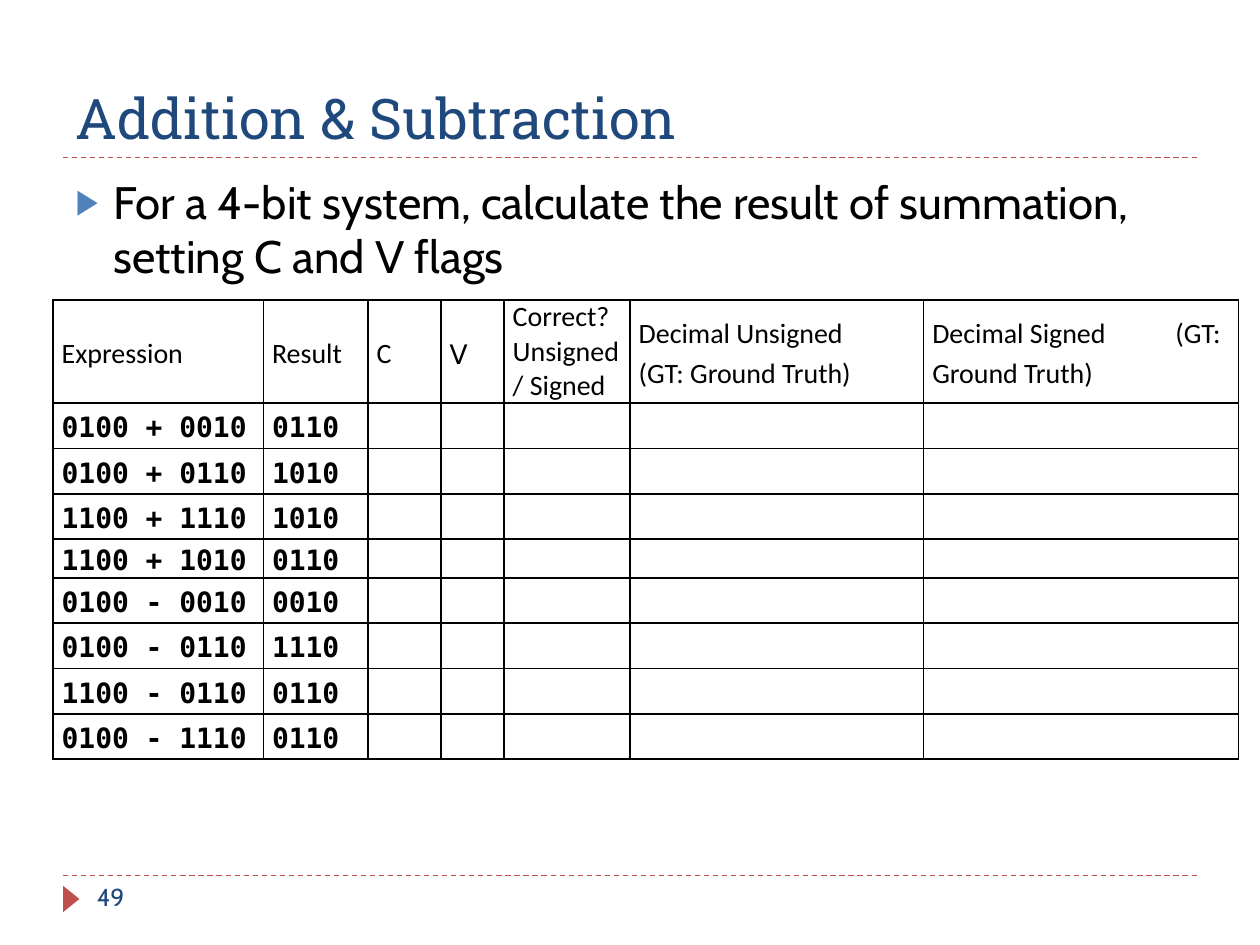
"""Build the slide on 4-bit addition and subtraction with carry and overflow flags."""
import pptx
import pptx.dml.color
import pptx.enum.dml
import pptx.enum.shapes
import pptx.enum.text
import pptx.oxml
import pptx.oxml.ns
import pptx.util
from lxml import etree
from pptx.util import Inches

COLORS = {"navy": "1F497D", "red": "C0504D", "blue": "4F81BD", "black": "000000", "white": "FFFFFF"}
COLUMN_WIDTHS = [1.67, 0.83, 0.58, 0.5, 1, 2.33, 2.5]
HEADER_HEIGHT, ROW_HEIGHT, SHORT_ROW_HEIGHT = 0.82, 0.36, 0.3
SHORT_EXPRESSION = "1100 + 1010"
HEADERS = [
    "Expression", "Result", "C", "V", "Correct? Unsigned/ Signed",
    "Decimal Unsigned\v(GT: Ground Truth)", "Decimal Signed\t(GT: Ground Truth)",
]
CALCULATIONS = [
    ("0100 + 0010", "0110"), ("0100 + 0110", "1010"), ("1100 + 1110", "1010"),
    (SHORT_EXPRESSION, "0110"), ("0100 - 0010", "0010"), ("0100 - 0110", "1110"),
    ("1100 - 0110", "0110"), ("0100 - 1110", "0110"),
]


def rgb(name):
    return pptx.dml.color.RGBColor.from_string(COLORS[name])


def append_xml(parent, tag, **attributes):
    return etree.SubElement(parent, pptx.oxml.ns.qn(tag), attributes)


class SlideBuilder:
    heading_font, body_font, table_font, code_font = "Roboto Slab", "Cabin", "Calibri", "DejaVu Sans Mono"
    table_size = 16

    def __init__(self, slide):
        self.slide = slide

    def place(self, shape, left, top, width, height):
        shape.left, shape.top = Inches(left), Inches(top)
        shape.width, shape.height = Inches(width), Inches(height)

    def add_text(self, paragraph, text, font, size, color="black", bold=False):
        for index, line in enumerate(text.split("\v")):
            if index:
                paragraph.add_line_break()
            run = paragraph.add_run()
            run.text = line
            run.font.name, run.font.size, run.font.bold = font, pptx.util.Pt(size), bold
            run.font.color.rgb = rgb(color)

    def title(self, text):
        shape = self.slide.shapes.title
        self.place(shape, 0.5, 0.17, 9, 1.08)
        shape.text_frame.vertical_anchor = pptx.enum.text.MSO_ANCHOR.BOTTOM
        paragraph = shape.text_frame.paragraphs[0]
        paragraph.alignment = pptx.enum.text.PP_ALIGN.LEFT
        self.add_text(paragraph, text, self.heading_font, 32, "navy")

    def body(self, text):
        shape = self.slide.placeholders[1]
        self.place(shape, 0.5, 1.33, 9, 5.4)
        paragraph = shape.text_frame.paragraphs[0]
        paragraph.space_before = pptx.util.Pt(0)
        properties = paragraph._p.get_or_add_pPr()
        properties.set("marL", str(Inches(0.3)))
        properties.set("indent", str(-Inches(0.3)))
        append_xml(append_xml(properties, "a:buClr"), "a:srgbClr", val=COLORS["blue"])
        append_xml(properties, "a:buSzPct", val="76000")
        append_xml(properties, "a:buChar", char="▶")
        self.add_text(paragraph, text, self.body_font, 26)

    def rule(self, top):
        connector = self.slide.shapes.add_connector(
            pptx.enum.shapes.MSO_CONNECTOR.STRAIGHT, Inches(0.5), Inches(top), Inches(9.5), Inches(top))
        connector.line.color.rgb = rgb("red")
        connector.line.width = pptx.util.Pt(0.75)
        connector.line.dash_style = pptx.enum.dml.MSO_LINE.DASH
        append_xml(connector._element.spPr, "a:effectLst")

    def page_marker(self, number):
        marker = self.slide.shapes.add_shape(
            pptx.enum.shapes.MSO_SHAPE.ISOSCELES_TRIANGLE,
            Inches(0.46), Inches(7.07), Inches(0.21), Inches(0.13))
        marker.rotation = 90
        marker.shadow.inherit = False
        marker.fill.solid()
        marker.fill.fore_color.rgb = rgb("red")
        marker.line.fill.background()
        box = self.slide.shapes.add_textbox(Inches(0.67), Inches(6.95), Inches(2.17), Inches(0.4))
        box.text_frame.word_wrap = True
        self.add_text(box.text_frame.paragraphs[0], number, self.body_font, 14, "navy")

    def cell(self, cell, text, font, bold=False, line_spacing=1.15):
        cell.margin_left = cell.margin_right = Inches(0.07)
        cell.margin_top = cell.margin_bottom = 0
        cell.vertical_anchor = pptx.enum.text.MSO_ANCHOR.MIDDLE
        properties = cell._tc.get_or_add_tcPr()
        for side in ("a:lnL", "a:lnR", "a:lnT", "a:lnB"):
            border = append_xml(properties, side, w=str(pptx.util.Pt(1)))
            append_xml(append_xml(border, "a:solidFill"), "a:srgbClr", val=COLORS["black"])
        cell.fill.solid()
        cell.fill.fore_color.rgb = rgb("white")
        paragraph = cell.text_frame.paragraphs[0]
        if not text:
            append_xml(paragraph._p, "a:endParaRPr", sz=str(self.table_size * 100))
            return
        paragraph.line_spacing = line_spacing
        if "\t" in text:
            tabs = append_xml(paragraph._p.get_or_add_pPr(), "a:tabLst")
            append_xml(tabs, "a:tab", pos=str(Inches(1.93)), algn="l")
        self.add_text(paragraph, text, font, self.table_size, bold=bold)

    def table(self, headers, calculations):
        heights = [HEADER_HEIGHT] + [
            SHORT_ROW_HEIGHT if expression == SHORT_EXPRESSION else ROW_HEIGHT
            for expression, result in calculations]
        table = self.slide.shapes.add_table(
            len(heights), len(headers), Inches(0.42), Inches(2.38),
            Inches(sum(COLUMN_WIDTHS)), Inches(sum(heights))).table
        table.first_row = table.horz_banding = False
        for column, width in zip(table.columns, COLUMN_WIDTHS):
            column.width = Inches(width)
        for row, height in zip(table.rows, heights):
            row.height = Inches(height)
        for index, header in enumerate(headers):
            font = self.body_font if header == "V" else self.table_font
            spacing = 1 if header.startswith("Correct?") else 1.15
            self.cell(table.cell(0, index), header, font, line_spacing=spacing)
        for row_index, values in enumerate(calculations, start=1):
            for index in range(len(headers)):
                text = values[index] if index < len(values) else ""
                self.cell(table.cell(row_index, index), text, self.code_font, bold=True)


def main():
    presentation = pptx.Presentation()
    presentation.slide_width, presentation.slide_height = Inches(10), Inches(7.5)
    builder = SlideBuilder(presentation.slides.add_slide(presentation.slide_layouts[1]))
    for top in (6.95, 1.25):
        builder.rule(top)
    builder.title("Addition & Subtraction")
    builder.page_marker("49")
    builder.body("For a 4-bit system, calculate the result of summation, setting C and V flags")
    builder.table(HEADERS, CALCULATIONS)
    presentation.save("out.pptx")


if __name__ == "__main__":
    main()
